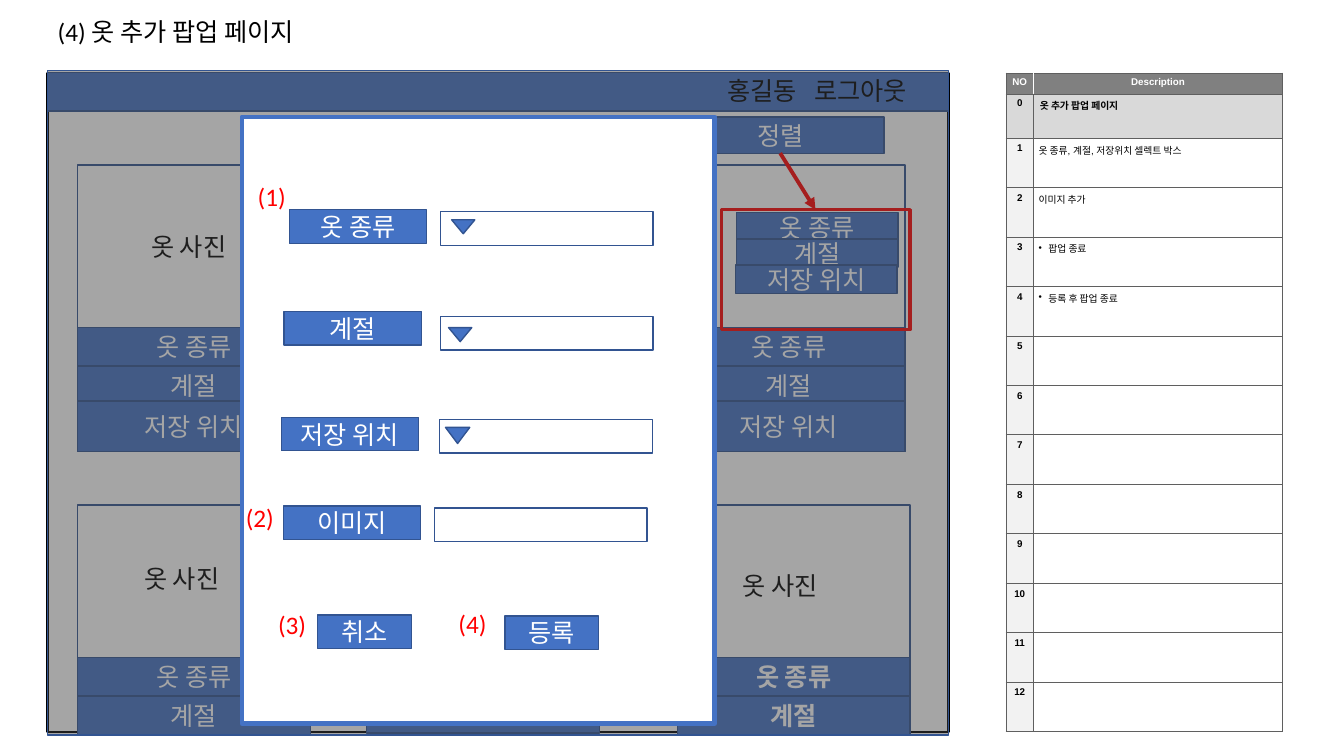
from lxml import etree
from pptx import Presentation
from pptx.dml.color import RGBColor
from pptx.enum.dml import MSO_LINE
from pptx.enum.shapes import MSO_CONNECTOR, MSO_SHAPE
from pptx.enum.text import MSO_ANCHOR, MSO_AUTO_SIZE, PP_ALIGN
from pptx.oxml.ns import qn
from pptx.util import Pt

RECT, TRIANGLE = MSO_SHAPE.RECTANGLE, MSO_SHAPE.ISOSCELES_TRIANGLE
STRAIGHT, SOLID = MSO_CONNECTOR.STRAIGHT, MSO_LINE.SOLID
TOP, MIDDLE = MSO_ANCHOR.TOP, MSO_ANCHOR.MIDDLE
LEFT, CENTER = PP_ALIGN.LEFT, PP_ALIGN.CENTER
NO_FIT = MSO_AUTO_SIZE.NONE

BLUE, NAVY, RED = "4472C4", "325491", "FF0000"
BLACK, WHITE, GRID = "000000", "FFFFFF", "5F5F5F"

KIND, SEASON, PLACE, PHOTO = "옷 종류", "계절", "저장 위치", "옷 사진"
TOP_ROWS = [(KIND, 116, 27.4), (SEASON, 143.3, 27.4), (PLACE, 168.5, 36)]
LOW_ROWS = [(KIND, 109, 27.4), (SEASON, 136.4, 27.4)]
CARD_W = 166.3
CARDS = [
    (55.4, 118, 204.5, TOP_ROWS, (100.8, 162), False),
    (480.2, 118, 204.5, TOP_ROWS, (523.4, 162), False),
    (262, 360.7, 161.3, [("", 135.4, 27.4)], None, False),
    (55.4, 360.7, 161.3, LOW_ROWS, (95.8, 398.9), False),
    (483.8, 360.7, 161.3, LOW_ROWS, (523.4, 403.9), True),
]
SORT_OPTIONS = [(KIND, 526.3, 152), (SEASON, 526.3, 170.6), (PLACE, 525.6, 189.4)]
FIELDS = [
    (KIND, 206.6, 149.8, 314.6, 151.2, (322.6, 157, 16.6, 10)),
    (SEASON, 203, 222.5, 314.6, 226, (320.4, 234, 16.6, 10)),
    (PLACE, 200.9, 298, 314, 299.5, (318.2, 305.3, 17.3, 11.5)),
    ("이미지", 202.3, 361.4, 310.3, 362.9, None),
]
ACTIONS = [("취소", 226.8, 439.2), ("등록", 360.7, 439.9)]
MARKS = [("(1)", 177, 126), ("(2)", 168.5, 355), ("(3)", 191.5, 432), ("(4)", 320.4, 430.6)]
NOTES = ["옷 종류, 계절, 저장위치 셀렉트 박스", "이미지 추가", "팝업 종료", "등록 후 팝업 종료"]
BULLETED = (3, 4)
LAST_NO = 12


def rgb(color):
    """Turn a hex string into a colour."""
    return RGBColor.from_string(color)


def write(tf, text, color, size=18, font="Calibri", bold=False, align=LEFT):
    """Set one paragraph of text, format it and return it."""
    tf.text = text
    p = tf.paragraphs[0]
    p.alignment = align
    for r in p.runs:
        r.font.size, r.font.name, r.font.bold = Pt(size), font, bold
        r.font.color.rgb = rgb(color)
    return p


def add_box(s, x, y, w, h, fill=None, line=NAVY, width=1, text="", bold=False, shape=RECT):
    """Add a preset shape with an optional fill and centred label."""
    sp = s.shapes.add_shape(shape, Pt(x), Pt(y), Pt(w), Pt(h))
    sp.shadow.inherit = False
    if fill:
        sp.fill.solid()
        sp.fill.fore_color.rgb = rgb(fill)
    else:
        sp.fill.background()
    sp.line.color.rgb = rgb(line)
    sp.line.width = Pt(width)
    if text:
        sp.text_frame.vertical_anchor = MIDDLE
        write(sp.text_frame, text, WHITE, bold=bold, align=CENTER)
    return sp


def add_label(s, text, x, y, w, color=BLACK):
    """Add a plain text box."""
    tf = s.shapes.add_textbox(Pt(x), Pt(y), Pt(w), Pt(29)).text_frame
    tf.word_wrap = True
    write(tf, text, color)


def add_arrow(s, x1, y1, x2, y2):
    """Add a red line with an arrowhead at its end."""
    cx = s.shapes.add_connector(STRAIGHT, Pt(x1), Pt(y1), Pt(x2), Pt(y2))
    cx.line.color.rgb = rgb(RED)
    cx.line.width = Pt(2.75)
    cx.line.dash_style = SOLID
    etree.SubElement(cx.line._get_or_add_ln(), qn("a:tailEnd"), type="triangle")
    etree.SubElement(cx._element.spPr, qn("a:effectLst"))


def add_card(s, x, y, h, rows, photo, bold):
    """Add a clothes card with its photo area and caption rows."""
    add_box(s, x, y, CARD_W, h)
    for text, dy, row_h in rows:
        add_box(s, x, y + dy, CARD_W, row_h, BLUE, text=text, bold=bold)
    if photo:
        add_label(s, PHOTO, *photo, 98)


def add_dimmer(s):
    """Add the translucent layer that dims the page under the popup."""
    sp = add_box(s, 34, 50.4, 643.7, 474.5, "404040")
    color = sp._element.spPr.find(qn("a:solidFill"))[0]
    etree.SubElement(color, qn("a:alpha"), val="47000")


def add_popup(s):
    """Add the popup with its fields, buttons and numbered marks."""
    add_box(s, 172.8, 83.5, 337.7, 433.4, WHITE, BLUE, 3.25)
    for text, x, y, input_x, input_y, arrow in FIELDS:
        add_box(s, x, y, 98, 24, BLUE, text=text)
        add_box(s, input_x, input_y, 152, 24, WHITE)
        if arrow:
            add_box(s, *arrow, BLUE, shape=TRIANGLE).rotation = 180
    for text, x, y in ACTIONS:
        add_box(s, x, y, 67, 24, BLUE, text=text)
    for text, x, y in MARKS:
        add_label(s, text, x, y, 54, RED)


def set_borders(cell, sides):
    """Draw the cell borders given as side, colour and width."""
    tc_pr = cell._tc.get_or_add_tcPr()
    for side, color, width in sides:
        ln = etree.SubElement(tc_pr, qn(f"a:ln{side}"), w=str(Pt(width)))
        fill = etree.SubElement(ln, qn("a:solidFill"))
        etree.SubElement(fill, qn("a:srgbClr"), val=color)


def fill_cell(cell, text, fill, color, bold, align, inset, split=""):
    """Format one table cell; split names a side with a white border."""
    set_borders(cell, [(side, WHITE, 0.5) if side == split else (side, GRID, 0.25) for side in "LRTB"])
    cell.fill.solid()
    cell.fill.fore_color.rgb = rgb(fill)
    cell.margin_left = cell.margin_right = cell.margin_top = cell.margin_bottom = Pt(inset)
    cell.vertical_anchor = TOP
    p = write(cell.text_frame, text, color, 7, "Arial", bold, align)
    p.space_before = Pt(1.4)
    return p


def add_bullet(p):
    """Give a paragraph a hanging bullet."""
    p_pr = p._p.get_or_add_pPr()
    p_pr.set("marL", str(Pt(7)))
    p_pr.set("indent", str(-Pt(7)))
    etree.SubElement(p_pr, qn("a:buChar"), char="•")


def add_description(s):
    """Add the numbered description table."""
    frame = s.shapes.add_table(LAST_NO + 2, 2, Pt(718.5), Pt(52), Pt(197.5), Pt(471))
    table = frame.table
    table.first_row = table.horz_banding = False
    for col, width in zip(table.columns, (19.8, 177.7)):
        col.width = Pt(width)
    for row, height in zip(table.rows, [15, 31.4] + [35.36] * LAST_NO):
        row.height = Pt(height)
    fill_cell(table.cell(0, 0), "NO", "808080", WHITE, True, CENTER, 2.9, "R")
    fill_cell(table.cell(0, 1), "Description", "808080", WHITE, True, CENTER, 2.9, "L")
    fill_cell(table.cell(1, 0), "0", "D9D9D9", BLACK, True, CENTER, 2.9)
    fill_cell(table.cell(1, 1), " 옷 추가 팝업 페이지", "D9D9D9", BLACK, True, LEFT, 2.9)
    for no in range(1, LAST_NO + 1):
        note = NOTES[no - 1] if no <= len(NOTES) else ""
        fill_cell(table.cell(no + 1, 0), str(no), "F2F2F2", BLACK, True, CENTER, 3.6)
        p = fill_cell(table.cell(no + 1, 1), note, WHITE, BLACK, False, LEFT, 3.6)
        if no in BULLETED:
            add_bullet(p)


def set_title(s, text):
    """Place and format the slide title."""
    title = s.shapes.title
    title.left, title.top, title.width, title.height = Pt(34), Pt(8), Pt(353), Pt(29)
    tf = title.text_frame
    tf.auto_size, tf.vertical_anchor = NO_FIT, TOP
    write(tf, text, BLACK)


def main():
    """Build the slide and save it."""
    prs = Presentation()
    prs.slide_width, prs.slide_height = Pt(960), Pt(540)
    s = prs.slides.add_slide(prs.slide_layouts[5])
    set_title(s, "(4) 옷 추가 팝업 페이지")
    add_description(s)
    add_box(s, 34, 52, 643.7, 471, WHITE, BLACK, 1.75)
    add_box(s, 34, 52, 643.7, 27.4, BLUE)
    add_label(s, "홍길동", 512.6, 50.4, 71.3)
    add_label(s, "로그아웃", 574.6, 50.4, 103.7)
    for card in CARDS:
        add_card(s, *card)
    add_box(s, 483.8, 83.5, 147.6, 26, BLUE, text="정렬")
    for text, x, y in SORT_OPTIONS:
        add_box(s, x, y, 115.2, 20.2, BLUE, text=text)
    add_box(s, 515.5, 149.8, 134.6, 85.7, line=RED, width=2.5)
    add_arrow(s, 557.3, 109.4, 582.5, 149.8)
    add_dimmer(s)
    add_popup(s)
    prs.save("out.pptx")


main()
